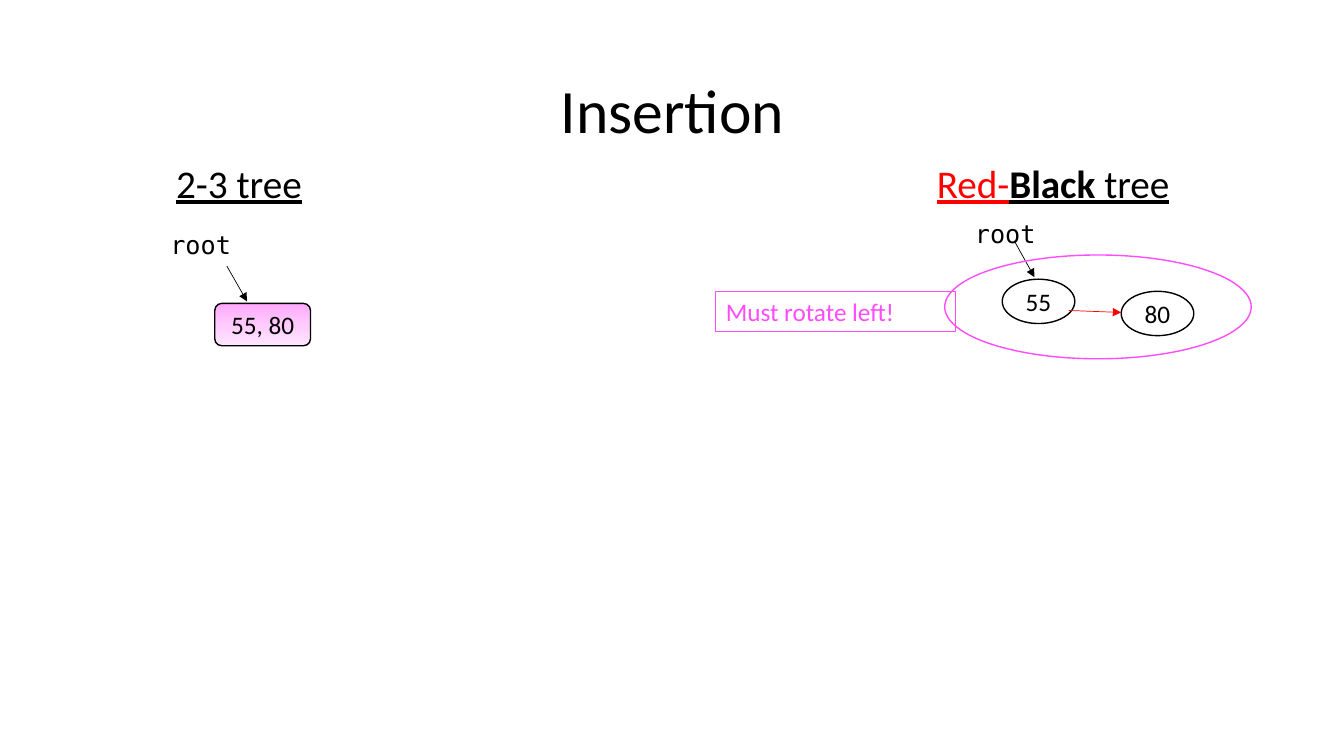
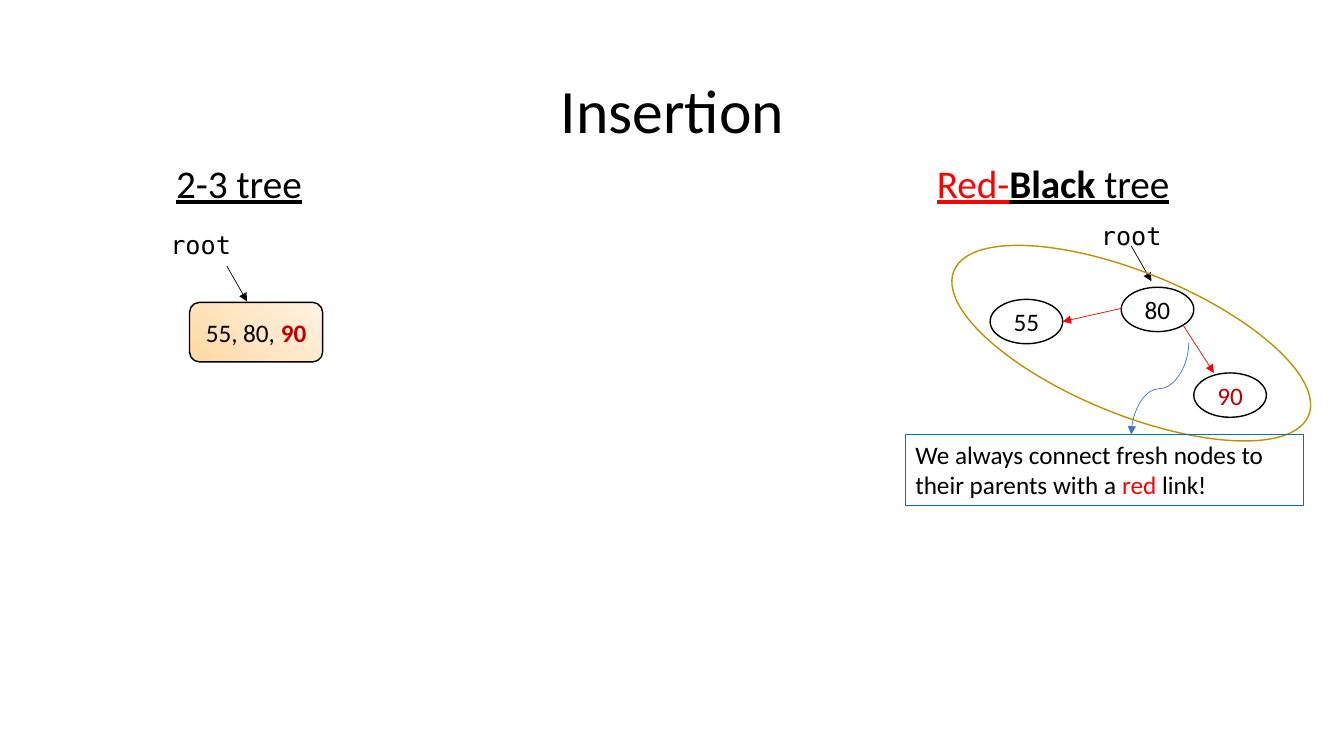
from copy import deepcopy

from lxml.etree import SubElement
from pptx import Presentation
from pptx.dml.color import RGBColor
from pptx.enum.shapes import MSO_CONNECTOR, MSO_SHAPE
from pptx.enum.text import MSO_ANCHOR, MSO_AUTO_SIZE, PP_ALIGN
from pptx.oxml.ns import qn
from pptx.util import Inches, Pt

BLACK, RED, DARK = "000000", "FF0000", "C00000"
PINK, GOLD, BLUE, STEEL = "FF4CFB", "BF9000", "0070C0", "4472C4"
MONO = "DejaVu Sans Mono"
NODE = 0.72, 0.44


def put(slide, box, *runs, kind=None, size=18, font="Calibri", under=None,
        center=True, middle=False, space=None, line=None, width=1):
    """Add a text box, or a shape of the given kind; a run is (text, colour, bold)."""
    box = [Inches(n) for n in box]
    if kind is None:
        shape = slide.shapes.add_textbox(*box)
    else:
        shape = slide.shapes.add_shape(kind, *box)
        shape.shadow.inherit = False
        shape.fill.background()
    if line:
        shape.line.color.rgb = RGBColor.from_string(line)
        shape.line.width = Pt(width)
    frame = shape.text_frame
    frame.word_wrap = True
    frame.vertical_anchor = MSO_ANCHOR.MIDDLE if middle else MSO_ANCHOR.TOP
    if kind is None and not middle:
        frame.auto_size = MSO_AUTO_SIZE.SHAPE_TO_FIT_TEXT
    para = frame.paragraphs[0]
    para.alignment = PP_ALIGN.CENTER if center else PP_ALIGN.LEFT
    para.line_spacing = space
    for text, color, bold in runs:
        run = para.add_run()
        run.text = text
        run.font.name, run.font.size = font, Pt(size)
        run.font.bold, run.font.underline = bold, under
        run.font.color.rgb = RGBColor.from_string(color)
    return shape


def link(slide, start, end, color=BLACK, kind=MSO_CONNECTOR.STRAIGHT):
    """Add a thin connector with an arrowhead at its end."""
    arrow = slide.shapes.add_connector(kind, *[Inches(n) for n in (*start, *end)])
    arrow.line.color.rgb = RGBColor.from_string(color)
    arrow.line.width = Pt(0.5)
    SubElement(arrow.line._get_or_add_ln(), qn("a:tailEnd"), type="triangle")
    SubElement(arrow._element.spPr, qn("a:effectLst"))
    return arrow


deck = Presentation()
deck.slide_width, deck.slide_height = Inches(13.33), Inches(7.5)

# Each step: 2-3 node, its gradient, right-hand root, tree nodes, tree links, ring
steps = [
    dict(cell=(2.13, 3.01, 0.95, 0.42), keys=[("55, 80", BLACK, None)],
         tints=("FFA8FC", "FFCAFD", "FFE5FE"), angle=270,
         root=(9.57, 2.12), point=((10.06, 2.39), (10.26, 2.75)),
         nodes=[("55", BLACK, 9.94, 2.77), ("80", BLACK, 11.12, 2.89)],
         links=[((10.6, 3.08), (11.12, 3.1))],
         ring=(9.37, 2.53, 3.04, 1.03), tilt=0, hue=PINK,
         note=(7.1, 2.89, 2.38, 0.4), edge=PINK,
         words=[("Must rotate left!", PINK, None)]),
    dict(cell=(1.88, 3, 1.32, 0.59),
         keys=[("55, 80, ", BLACK, None), ("90", DARK, True)],
         tints=("FFD8A0", "FFE6C5", "FFF2E3"), angle=45,
         root=(10.82, 2.14), point=((11.22, 2.44), (11.42, 2.79)),
         nodes=[("55", BLACK, 9.82, 2.97), ("80", BLACK, 11.12, 2.85),
                ("90", DARK, 11.84, 3.7)],
         links=[((11.12, 3.06), (10.54, 3.19)), ((11.73, 3.22), (12.04, 3.7))],
         ring=(9.32, 2.7, 3.8, 1.41), tilt=22.2, hue=GOLD,
         note=(8.98, 4.31, 3.95, 0.71), edge=BLUE,
         words=[("We always connect fresh nodes to their parents with a ", BLACK, None),
                ("red", RED, None), (" link!", BLACK, None)]),
]

for step in steps:
    slide = deck.slides.add_slide(deck.slide_layouts[6])
    put(slide, (0.92, 0.4, 11.5, 1.45), ("Insertion", BLACK, None),
        size=44, middle=True, space=0.9)
    put(slide, (1.29, 1.53, 2.16, 0.57), ("2-3 tree", BLACK, None), size=28, under=True)
    put(slide, (9.1, 1.53, 2.69, 0.57), ("Red-", RED, None), ("Black", BLACK, True),
        (" tree", BLACK, None), size=28, under=True)

    # Root labels and their arrows
    for spot, point in [((1.59, 2.23), ((2.25, 2.64), (2.45, 2.99))),
                        (step["root"], step["point"])]:
        put(slide, (*spot, 1.31, 0.4), ("root", BLACK, None), font=MONO, center=False)
        link(slide, *point)

    # 2-3 node with a three-stop gradient
    cell = put(slide, step["cell"], *step["keys"], kind=MSO_SHAPE.ROUNDED_RECTANGLE,
               middle=True, line=BLACK)
    cell.fill.gradient()
    cell.fill.gradient_angle = step["angle"]
    first = cell._element.spPr.find(".//" + qn("a:gs"))
    first.addnext(deepcopy(first))
    for i, (stop, tint) in enumerate(zip(cell.fill.gradient_stops, step["tints"])):
        stop.position = i / 2
        stop.color.rgb = RGBColor.from_string(tint)

    # Red-black tree
    for key, color, left, top in step["nodes"]:
        put(slide, (left, top, *NODE), (key, color, None), kind=MSO_SHAPE.OVAL,
            middle=True, line=BLACK)
    for start, end in step["links"]:
        link(slide, start, end, RED)
    ring = put(slide, step["ring"], kind=MSO_SHAPE.OVAL, line=step["hue"])
    ring.rotation = step["tilt"]
    put(slide, step["note"], *step["words"], center=False, line=step["edge"], width=0.75)

# Curved arrow from the fresh link to the last note, turned a quarter clockwise
curve = link(slide, (11.05, 3.57), (11.96, 4.14), STEEL, MSO_CONNECTOR.CURVE)
curve._element.spPr.find(qn("a:xfrm")).set("rot", str(90 * 60000))

deck.save("out.pptx")
